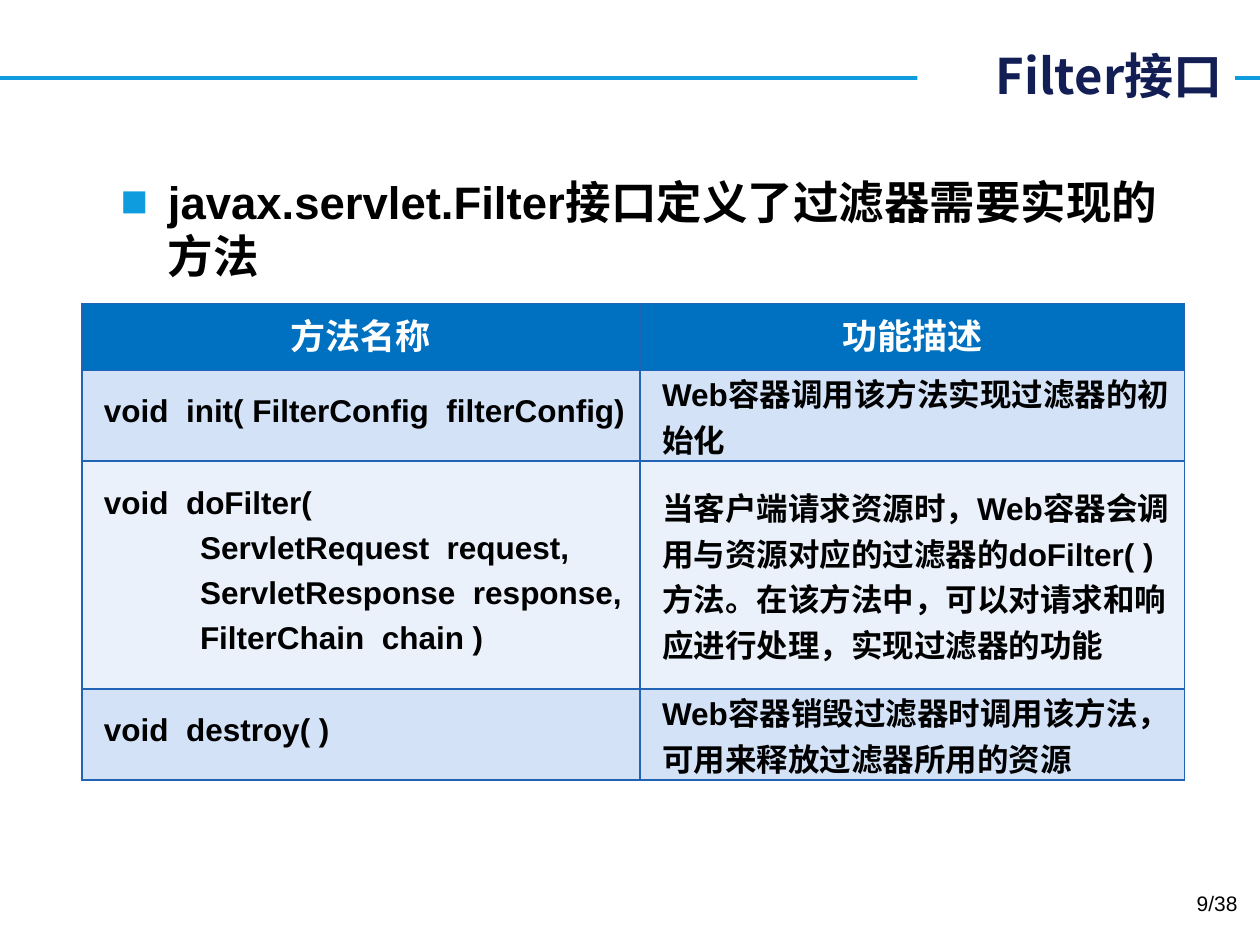
"""Builds the slide on the methods of the Filter interface."""
import dataclasses
import typing

import lxml.etree
import pptx
import pptx.dml.color
import pptx.enum.shapes
import pptx.enum.text
import pptx.oxml.ns
import pptx.util

GRID = 0.1
SANS, CJK = "Arial", "Noto Sans CJK SC"
BLACK, WHITE, NAVY, SKY = "000000", "FFFFFF", "121E54", "0E9CDE"
HEADER, BAND, LIGHT, BORDER = "0070C0", "D3E2F7", "EAF1FB", "2163B4"
LEFT = pptx.enum.text.PP_ALIGN.LEFT
CENTER = pptx.enum.text.PP_ALIGN.CENTER
RIGHT = pptx.enum.text.PP_ALIGN.RIGHT
MIDDLE = pptx.enum.text.MSO_ANCHOR.MIDDLE


@dataclasses.dataclass(frozen=True)
class Box:
    """A place on the grid of 100 columns and 75 rows."""
    left: float
    top: float
    width: float
    height: float


@dataclasses.dataclass(frozen=True)
class Style:
    """The look of the characters and the side they align to."""
    size: float
    color: str = BLACK
    font: str = SANS
    bold: bool = True
    align: typing.Any = LEFT


@dataclasses.dataclass(frozen=True)
class Margins:
    """The space inside a cell, in grid units."""
    left: float
    right: float
    bottom: float = 0


@dataclasses.dataclass(frozen=True)
class Method:
    """A table row: the lines of a signature and what it does."""
    signature: tuple[str, ...]
    purpose: str
    fill: str
    height: float


TITLE = Style(28, NAVY, CJK, align=RIGHT)
LEAD = Style(26)
HEADING = Style(20, WHITE, CJK, align=CENTER)
ENTRY = Style(18)
PAGE = Style(12, bold=False, align=RIGHT)

COLUMNS = (44.3, 43.2)
HEADINGS = ("方法名称", "功能描述")
HEADING_HEIGHT = 5.3
HEADING_MARGINS = Margins(0.7, 0.7, 0.4)
SIGNATURE_MARGINS = Margins(1.75, 0.7)
PURPOSE_MARGINS = Margins(1.75, 1.1)
METHODS = (
    Method(("void  init( FilterConfig  filterConfig)",),
           "Web容器调用该方法实现过滤器的初始化", BAND, 7.2),
    Method(("void  doFilter(",
            "           ServletRequest  request,",
            "           ServletResponse  response,",
            "           FilterChain  chain )"),
           "当客户端请求资源时，Web容器会调用与资源对应的过滤器的doFilter( )方法。"
           "在该方法中，可以对请求和响应进行处理，实现过滤器的功能", LIGHT, 18.1),
    Method(("void  destroy( )",),
           "Web容器销毁过滤器时调用该方法，可用来释放过滤器所用的资源", BAND, 7.2),
)


def units(count: float) -> int:
    """Turns grid units into a length."""
    return pptx.util.Inches(count * GRID)


def rgb(value: str) -> pptx.dml.color.RGBColor:
    """Turns a hex string into a colour."""
    return pptx.dml.color.RGBColor.from_string(value)


def assign(target: typing.Any, values: dict[str, typing.Any]) -> None:
    """Sets each named attribute of an object."""
    for name, value in values.items():
        setattr(target, name, value)


def add_child(parent: typing.Any, tag: str, **attributes: str) -> typing.Any:
    """Appends a drawing element."""
    return lxml.etree.SubElement(parent, pptx.oxml.ns.qn(tag), attributes)


def place(shape: typing.Any, box: Box) -> None:
    """Moves a shape to its place on the grid."""
    assign(shape, {name: units(value) for name, value in dataclasses.asdict(box).items()})


def write(frame: typing.Any, lines: tuple[str, ...], style: Style,
          spacing: int | None = None, gap: float = 0) -> None:
    """Fills a text frame with one paragraph for each line."""
    frame.word_wrap = True
    for index, line in enumerate(lines):
        paragraph = frame.add_paragraph() if index else frame.paragraphs[0]
        assign(paragraph, {"alignment": style.align, "line_spacing": spacing,
                           "space_before": pptx.util.Pt(gap if index else 0)})
        run = paragraph.add_run()
        run.text = line
        assign(run.font, {"size": pptx.util.Pt(style.size), "bold": style.bold,
                          "name": style.font})
        run.font.color.rgb = rgb(style.color)
        add_child(run.font._element, "a:ea", typeface=CJK)


def add_text(slide: typing.Any, box: Box, text: str, style: Style) -> typing.Any:
    """Adds a text box and returns its frame."""
    shape = slide.shapes.add_textbox(0, 0, 0, 0)
    write(shape.text_frame, (text,), style)
    place(shape, box)
    return shape.text_frame


def add_rule(slide: typing.Any, row: float, width: int) -> None:
    """Draws the rule across the slide, behind everything else."""
    rule = slide.shapes.add_connector(
        pptx.enum.shapes.MSO_CONNECTOR.STRAIGHT, 0, units(row), width, units(row))
    rule.line.color.rgb = rgb(SKY)
    rule.line.width = pptx.util.Pt(2.25)
    add_child(rule._element.spPr, "a:effectLst")
    slide.shapes._spTree.insert(2, rule._element)


def add_title(slide: typing.Any, box: Box, text: str) -> None:
    """Writes the title on a white ground that breaks the rule."""
    title = slide.shapes.title
    place(title, box)
    title.fill.solid()
    title.fill.fore_color.rgb = rgb(WHITE)
    title.text_frame.vertical_anchor = MIDDLE
    write(title.text_frame, (text,), TITLE)


def add_lead(slide: typing.Any, box: Box, text: str) -> None:
    """Writes the statement with its square bullet."""
    frame = add_text(slide, box, text, LEAD)
    properties = frame.paragraphs[0]._p.get_or_add_pPr()
    indent = units(3.75)
    properties.set("marL", str(indent))
    properties.set("indent", str(-indent))
    add_child(add_child(properties, "a:buClr"), "a:srgbClr", val=SKY)
    add_child(properties, "a:buFont", typeface=SANS)
    add_child(properties, "a:buChar", char="■")


def format_cell(cell: typing.Any, fill: str, margins: Margins) -> None:
    """Gives a cell its borders, fill and margins."""
    properties = cell._tc.get_or_add_tcPr()
    for edge in ("a:lnL", "a:lnR", "a:lnT", "a:lnB"):
        line = add_child(properties, edge, w=str(pptx.util.Pt(1)))
        add_child(add_child(line, "a:solidFill"), "a:srgbClr", val=BORDER)
    cell.fill.solid()
    cell.fill.fore_color.rgb = rgb(fill)
    assign(cell, {"vertical_anchor": MIDDLE, "margin_top": 0,
                  "margin_left": units(margins.left),
                  "margin_right": units(margins.right),
                  "margin_bottom": units(margins.bottom)})


def add_methods(slide: typing.Any, left: float, top: float) -> None:
    """Draws the table of methods."""
    heights = (HEADING_HEIGHT, *(method.height for method in METHODS))
    table = slide.shapes.add_table(
        len(heights), len(COLUMNS), units(left), units(top),
        units(sum(COLUMNS)), units(sum(heights))).table
    for column, width in zip(table.columns, COLUMNS):
        column.width = units(width)
    for row, height in zip(table.rows, heights):
        row.height = units(height)
    for column, heading in enumerate(HEADINGS):
        cell = table.cell(0, column)
        format_cell(cell, HEADER, HEADING_MARGINS)
        write(cell.text_frame, (heading,), HEADING)
    for row, method in enumerate(METHODS, 1):
        signature, purpose = table.cell(row, 0), table.cell(row, 1)
        format_cell(signature, method.fill, SIGNATURE_MARGINS)
        format_cell(purpose, method.fill, PURPOSE_MARGINS)
        write(signature.text_frame, method.signature, ENTRY, pptx.util.Pt(15.6), 10)
        write(purpose.text_frame, (method.purpose,), ENTRY)


def main() -> None:
    """Builds and saves the presentation."""
    presentation = pptx.Presentation()
    assign(presentation, {"slide_width": units(100), "slide_height": units(75)})
    slide = presentation.slides.add_slide(presentation.slide_layouts[5])
    add_title(slide, Box(72.8, 3.1, 25.2, 5.7), "Filter接口")
    add_rule(slide, 6.2, presentation.slide_width)
    add_lead(slide, Box(8.6, 13.3, 84.7, 10.5), "javax.servlet.Filter接口定义了过滤器需要实现的方法")
    add_methods(slide, 6.5, 24.1)
    add_text(slide, Box(75.9, 70.2, 23.3, 4), "9/38", PAGE)
    presentation.save("out.pptx")


if __name__ == "__main__":
    main()
